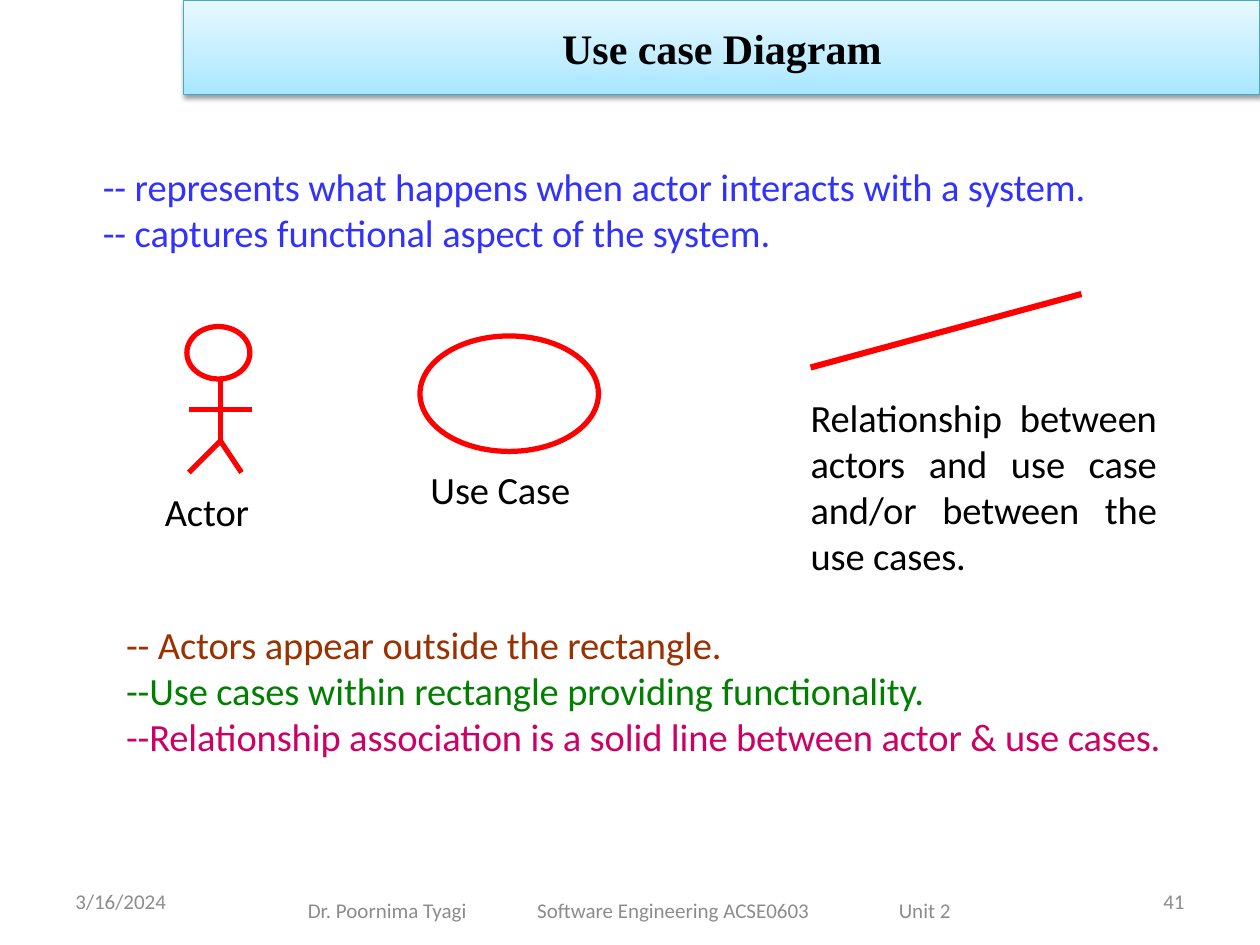
"""Build the use case diagram notation slide."""
from dataclasses import dataclass

from lxml import etree
from pptx import Presentation
from pptx.dml.color import RGBColor
from pptx.enum.shapes import MSO_CONNECTOR, MSO_SHAPE
from pptx.enum.text import MSO_ANCHOR, PP_ALIGN
from pptx.oxml import parse_xml
from pptx.oxml.ns import qn
from pptx.util import Inches, Pt

LEFT, CENTER, RIGHT, JUSTIFY = PP_ALIGN.LEFT, PP_ALIGN.CENTER, PP_ALIGN.RIGHT, PP_ALIGN.JUSTIFY
TOP, MIDDLE = MSO_ANCHOR.TOP, MSO_ANCHOR.MIDDLE
OVAL, STRAIGHT = MSO_SHAPE.OVAL, MSO_CONNECTOR.STRAIGHT

BLACK = RGBColor(0x00, 0x00, 0x00)
GREY = RGBColor(0x8C, 0x8C, 0x8C)
BLUE = RGBColor(0x32, 0x32, 0xFF)
BROWN = RGBColor(0x99, 0x32, 0x00)
GREEN = RGBColor(0x00, 0x7F, 0x00)
MAGENTA = RGBColor(0xCC, 0x00, 0x65)
RED = RGBColor(0xFF, 0x00, 0x00)
TEAL = RGBColor(0x46, 0xAA, 0xC5)
BANNER_STOPS = ((0, "A7E6FF"), (35, "C1EDFF"), (100, "E7F8FF"))

COLUMNS, ROWS = 120, 90
WIDTH, HEIGHT = Inches(10), Inches(7.5)
CELL = WIDTH // COLUMNS
A_NS = 'xmlns:a="http://schemas.openxmlformats.org/drawingml/2006/main"'
SHADOW = (f'<a:effectLst {A_NS}><a:outerShdw blurRad="39370" dist="20320" dir="5400000" '
          'rotWithShape="0"><a:srgbClr val="000000"><a:alpha val="38000"/></a:srgbClr>'
          '</a:outerShdw></a:effectLst>')

BODY_FONT = {"name": "Calibri", "size": Pt(22)}
FOOTER_FONT = {"name": "Calibri", "size": Pt(12)}
TITLE_FONT = {"name": "Times New Roman", "size": Pt(24), "bold": True}


@dataclass(frozen=True)
class Area:
    """A rectangle in grid columns and rows."""
    col: float
    row: float
    cols: float
    rows: float

    def box(self) -> tuple[int, ...]:
        """Return left, top, width and height in EMU."""
        return tuple(cells(v) for v in (self.col, self.row, self.cols, self.rows))


@dataclass(frozen=True)
class Note:
    """A text block with one colour for each paragraph."""
    area: Area
    lines: tuple[tuple[str, RGBColor], ...]
    align: PP_ALIGN = LEFT
    inset_top: float = 0.01
    inset_right: float = 0


@dataclass(frozen=True)
class Footer:
    """A footer field with optional tab stops in inches."""
    area: Area
    text: str
    align: PP_ALIGN = LEFT
    inset: float = 0.1
    tabs: tuple[float, ...] = ()


NOTES = (
    Note(Area(9.8, 15.4, 100.3, 9), (
        ("-- represents what happens when actor interacts with a system.", BLUE),
        ("-- captures functional aspect of the system.", BLUE))),
    Note(Area(41, 44.3, 15, 4.6), (("Use Case", BLACK),)),
    Note(Area(77.2, 37.4, 34.9, 18), (
        ("Relationship between actors and use case and/or between the use cases.", BLACK),),
        JUSTIFY, inset_right=0.16),
    Note(Area(12, 56.6, 107.9, 15.8), (
        ("-- Actors appear outside the rectangle.", BROWN),
        ("--Use cases within rectangle providing functionality.", GREEN),
        ("--Relationship association is a solid line between actor & use cases.", MAGENTA)),
        inset_top=0.21),
    Note(Area(15.7, 46.4, 14, 4.6), (("Actor", BLACK),)),
)
FOOTERS = (
    Footer(Area(6, 83.4, 28, 4.8), "3/16/2024"),
    Footer(Area(19, 83.4, 82, 6.6), "Dr. Poornima Tyagi\tSoftware Engineering ACSE0603\tUnit 2",
           inset=0.86, tabs=(1.82, 4.69)),
    Footer(Area(86, 83.4, 28, 4.8), "41", RIGHT),
)
BANNER = Area(17.5, 0, 102.5, 9)
USE_CASE = Area(40, 32, 17, 11)
ACTOR_HEAD = Area(17.8, 31.1, 6, 5)
ACTOR_LIMBS = (
    ((20.8, 36.1), (20.8, 42.1)),
    ((20.8, 42.1), (17.8, 45.1)),
    ((20.8, 42.1), (22.8, 45.1)),
    ((17.8, 39.1), (23.8, 39.1)),
)
RELATION = (77.2, 35, 103, 28)


def cells(value: float) -> int:
    """Convert grid cells to EMU."""
    return round(value * CELL)


def write(p, text: str, font: dict, color: RGBColor, align: PP_ALIGN, spacing: int = 0) -> None:
    """Fill a paragraph with one formatted run."""
    p.alignment = align
    r = p.add_run()
    r.text = text
    for key, value in font.items():
        setattr(r.font, key, value)
    r.font.color.rgb = color
    if spacing:
        r.font._element.set("spc", str(spacing))


def add_frame(s, area: Area, insets: tuple[float, ...], anchor: MSO_ANCHOR):
    """Add a wrapping text box and return its text frame."""
    tf = s.shapes.add_textbox(*area.box()).text_frame
    tf.word_wrap = True
    tf.vertical_anchor = anchor
    for side, inset in zip(("left", "top", "right", "bottom"), insets):
        setattr(tf, f"margin_{side}", Inches(inset))
    return tf


def add_note(s, note: Note) -> None:
    """Add a block of body text."""
    tf = add_frame(s, note.area, (0, note.inset_top, note.inset_right, 0), TOP)
    for i, (text, color) in enumerate(note.lines):
        p = tf.add_paragraph() if i else tf.paragraphs[0]
        write(p, text, BODY_FONT, color, note.align, -5)


def add_footer(s, footer: Footer) -> None:
    """Add a footer field."""
    tf = add_frame(s, footer.area, (footer.inset, 0.05, 0.1, 0.05), MIDDLE)
    p = tf.paragraphs[0]
    if footer.tabs:
        tabs = etree.SubElement(p._p.get_or_add_pPr(), qn("a:tabLst"))
        for stop in footer.tabs:
            etree.SubElement(tabs, qn("a:tab"), pos=str(Inches(stop)), algn="l")
    write(p, footer.text, FOOTER_FONT, GREY, footer.align)


def add_title(s, text: str) -> None:
    """Format the title placeholder as a gradient banner."""
    sp = s.shapes.title
    sp.left, sp.top, sp.width, sp.height = BANNER.box()
    sp.fill.gradient()
    sp.fill.gradient_angle = 90
    stops = sp._element.spPr.find(f".//{qn('a:gsLst')}")
    for stop in list(stops):
        stops.remove(stop)
    for share, color in BANNER_STOPS:
        stop = etree.SubElement(stops, qn("a:gs"), pos=str(share * 1000))
        etree.SubElement(stop, qn("a:srgbClr"), val=color)
    sp.line.color.rgb = TEAL
    sp.line.width = Pt(0.75)
    sp._element.spPr.append(parse_xml(SHADOW))
    sp.text_frame.vertical_anchor = MIDDLE
    write(sp.text_frame.paragraphs[0], text, TITLE_FONT, BLACK, CENTER)


def outline(sp, width: float = 3) -> None:
    """Give a shape a red outline without fill or shadow."""
    sp.fill.background()
    sp.shadow.inherit = False
    sp.line.color.rgb = RED
    sp.line.width = Pt(width)


def add_actor(s) -> None:
    """Draw the stick figure as a group."""
    shapes = s.shapes.add_group_shape().shapes
    outline(shapes.add_shape(OVAL, *ACTOR_HEAD.box()))
    builder = shapes.build_freeform(*ACTOR_LIMBS[0][0], scale=CELL)
    for i, (start, end) in enumerate(ACTOR_LIMBS):
        if i:
            builder.move_to(*start)
        builder.add_line_segments([end], close=False)
    outline(builder.convert_to_shape())


def add_relation(s) -> None:
    """Draw the relationship line."""
    line = s.shapes.add_connector(STRAIGHT, *map(cells, RELATION))
    line.line.color.rgb = RED
    line.line.width = Pt(3.5)
    etree.SubElement(line._element.spPr, qn("a:effectLst"))


def main() -> None:
    """Create and save the slide."""
    prs = Presentation()
    prs.slide_width, prs.slide_height = WIDTH, CELL * ROWS
    s = prs.slides.add_slide(prs.slide_layouts[5])
    add_title(s, "Use case Diagram")
    for footer in FOOTERS:
        add_footer(s, footer)
    outline(s.shapes.add_shape(OVAL, *USE_CASE.box()))
    add_actor(s)
    for note in NOTES:
        add_note(s, note)
    add_relation(s)
    prs.save("out.pptx")


if __name__ == "__main__":
    main()
